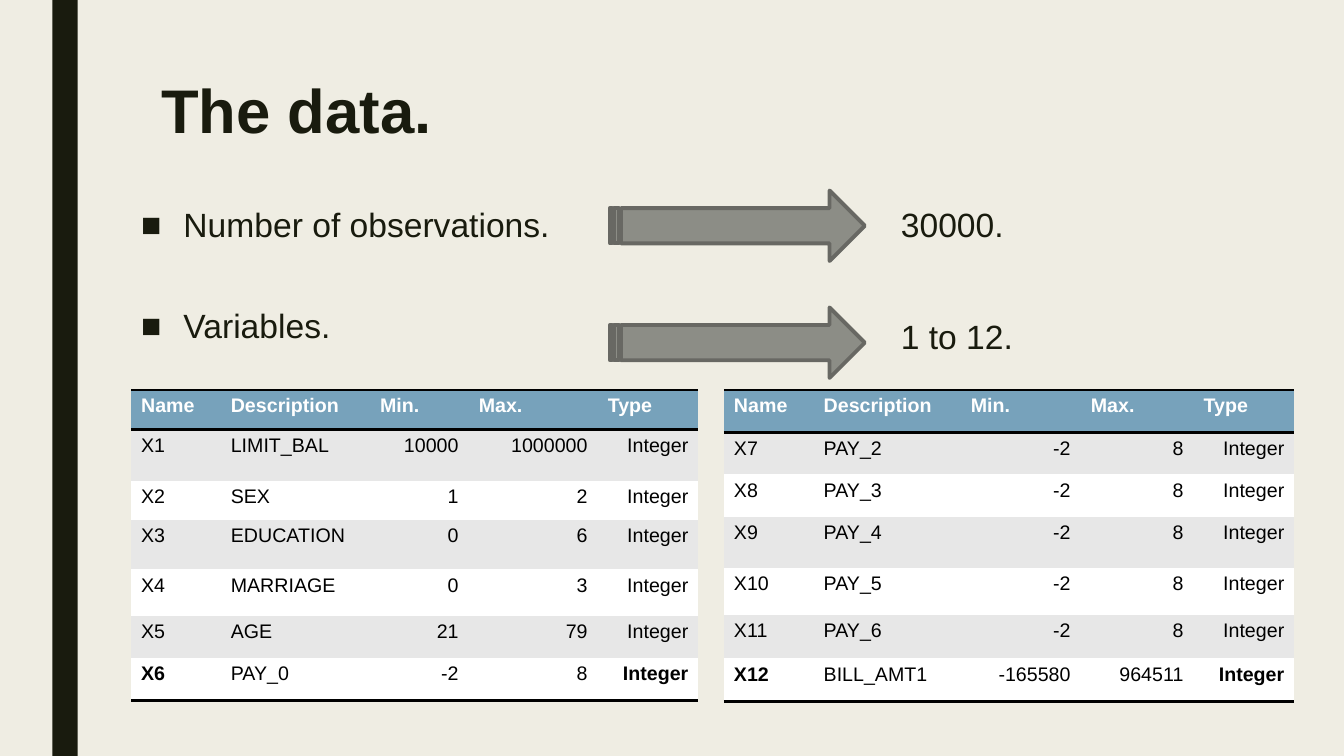
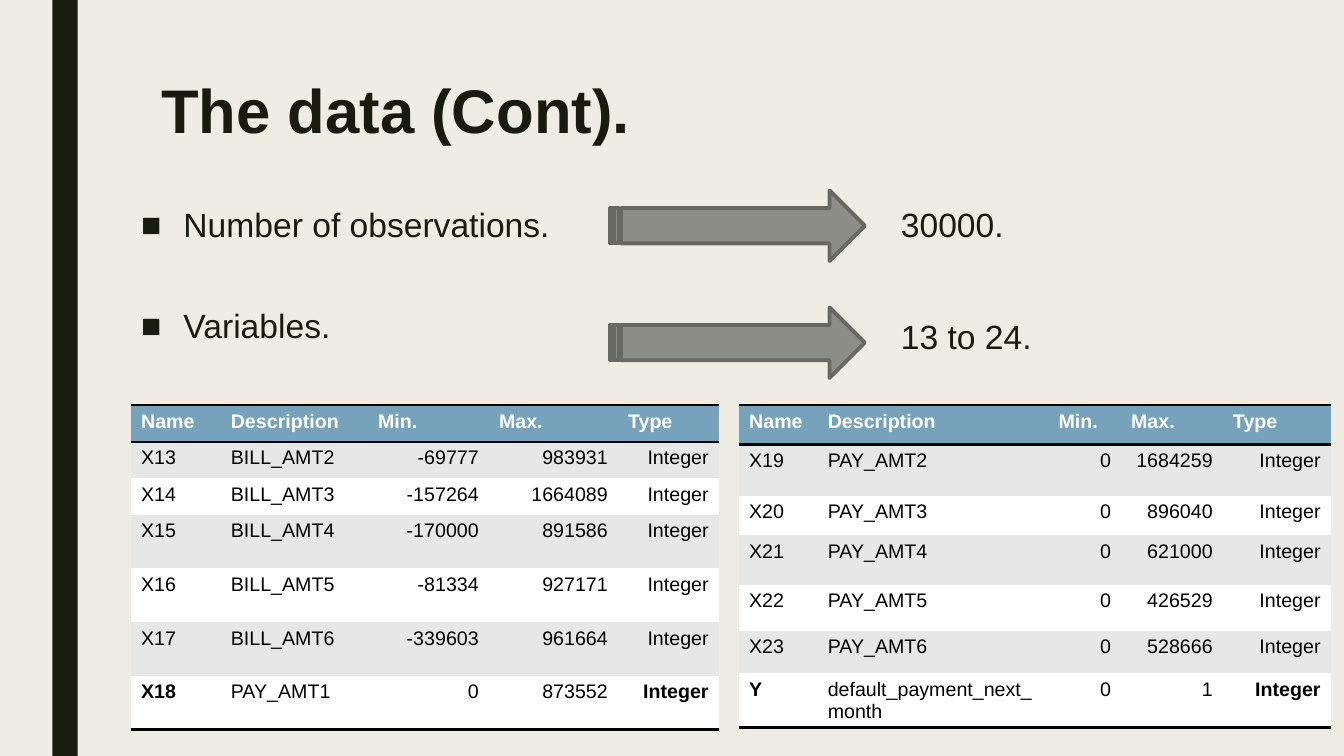
from dataclasses import dataclass

from lxml.etree import SubElement
from pptx import Presentation
from pptx.dml.color import RGBColor
from pptx.enum.shapes import MSO_SHAPE
from pptx.enum.text import MSO_ANCHOR, MSO_AUTO_SIZE, PP_ALIGN
from pptx.oxml.ns import qn
from pptx.util import Inches, Pt


@dataclass(frozen=True)
class Theme:
    font: str = "Arial"
    paper: str = "EFEDE3"
    ink: str = "191B0E"
    arrow: str = "8C8D86"
    arrow_edge: str = "686863"
    header: str = "77A2BB"
    odd_row: str = "E7E7E7"
    even_row: str = "FFFFFF"
    header_text: str = "FFFFFF"
    cell_text: str = "000000"
    title_size: int = 44
    body_size: int = 24
    cell_size: int = 14
    arrow_line: float = 2.75
    rule_line: float = 2


@dataclass(frozen=True)
class Box:
    left: float
    top: float
    width: float
    height: float

    def inner(self, left, top, width, height):
        """Return an inner box given in percent of this one."""
        return Box(self.left + self.width * left / 100,
                   self.top + self.height * top / 100,
                   self.width * width / 100, self.height * height / 100)

    def inches(self):
        return [Inches(length) for length in
                (self.left, self.top, self.width, self.height)]


THEME = Theme()
SLIDE = Box(0, 0, 13.33, 7.5)
BAND = SLIDE.inner(3.9, 0, 1.88, 100)
TITLE = SLIDE.inner(11.25, 10, 87.5, 15.2)
SUMMARY = SLIDE.inner(9.75, 25.2, 87.6, 24.8)
NO_GRID_STYLE = "{2D5ABB26-0587-4C30-8999-92F81FD0307C}"
HEADINGS = ["Name", "Description", "Min.", "Max.", "Type"]


def paint(fill, color):
    fill.solid()
    fill.fore_color.rgb = RGBColor.from_string(color)


def set_font(para, size, color, bold=False):
    font = para.font
    font.name, font.size, font.bold = THEME.font, Pt(size), bold
    font.color.rgb = RGBColor.from_string(color)


def place(shape, box):
    shape.left, shape.top, shape.width, shape.height = box.inches()


def open_frame(shape):
    frame = shape.text_frame
    frame.word_wrap = True
    frame.auto_size = MSO_AUTO_SIZE.NONE
    frame.vertical_anchor = MSO_ANCHOR.TOP
    return frame


def add_bullet(para):
    properties = para._p.get_or_add_pPr()
    properties.set("marL", str(Inches(0.42)))
    properties.set("indent", str(-Inches(0.42)))
    SubElement(properties, qn("a:buFont")).set("typeface", THEME.font)
    SubElement(properties, qn("a:buChar")).set("char", "■")


def write_lines(shape, lines, gap, bulleted=False):
    frame = open_frame(shape)
    frame.text = "\n".join(lines)
    for index, para in enumerate(frame.paragraphs):
        if bulleted:
            add_bullet(para)
        para.line_spacing = 0.94
        para.space_before = Pt(gap if index else 0)
        para.space_after = Pt(2)
        set_font(para, THEME.body_size, THEME.ink)


def style_master(deck, page):
    """Give the master the paper colour and the dark band."""
    master = deck.slide_master
    paint(master.background.fill, THEME.paper)
    band = page.shapes.add_shape(MSO_SHAPE.RECTANGLE, *BAND.inches())
    band.shadow.inherit = False
    paint(band.fill, THEME.ink)
    band.line.fill.background()
    master.element.cSld.spTree.insert(2, band.element)


def add_title(page, box, text):
    title = page.shapes.title
    place(title, box)
    frame = open_frame(title)
    frame.text = text
    para = frame.paragraphs[0]
    para.alignment = PP_ALIGN.LEFT
    para.line_spacing = 0.89
    set_font(para, THEME.title_size, THEME.ink, bold=True)


def add_arrow(page, box):
    arrow = page.shapes.add_shape(MSO_SHAPE.STRIPED_RIGHT_ARROW, *box.inches())
    arrow.shadow.inherit = False
    paint(arrow.fill, THEME.arrow)
    paint(arrow.line.fill, THEME.arrow_edge)
    arrow.line.width = Pt(THEME.arrow_line)


def add_summary(page, box, variables):
    # Facts on the left
    facts = page.placeholders[1]
    place(facts, box.inner(0, 6.45, 37.16, 93.55))
    write_lines(facts, ["Number of observations.", "Variables."], 43, bulleted=True)

    # Arrows at the top and bottom of the region
    arrow_height = 37.63
    for top in (0, 100 - arrow_height):
        add_arrow(page, box.inner(40.67, top, 21.66, arrow_height))

    # Values on the right
    values = page.shapes.add_textbox(*box.inner(64.55, 6.45, 35.45, 93.55).inches())
    write_lines(values, ["30000.", variables], 51)


def add_rule(cell, side):
    line = SubElement(cell._tc.get_or_add_tcPr(), qn(f"a:{side}"),
                      w=str(Pt(THEME.rule_line)))
    fill = SubElement(line, qn("a:solidFill"))
    SubElement(fill, qn("a:srgbClr")).set("val", THEME.cell_text)


def fill_cell(cell, text, row, column, last_row):
    is_header, is_last = row == 0, row == last_row
    if is_header:
        add_rule(cell, "lnT")
    if is_header or is_last:
        add_rule(cell, "lnB")
    band = THEME.odd_row if row % 2 else THEME.even_row
    paint(cell.fill, THEME.header if is_header else band)
    cell.text = text
    para = cell.text_frame.paragraphs[0]
    if column >= 2 and not is_header:
        para.alignment = PP_ALIGN.RIGHT
    at_edge = column in (0, len(HEADINGS) - 1)
    set_font(para, THEME.cell_size,
             THEME.header_text if is_header else THEME.cell_text,
             bold=is_header or (is_last and at_edge))


def add_variable_table(page, box, columns, rows, records):
    """Draw a table; columns and rows are shares of the box."""
    lines = [HEADINGS] + [record.split() + ["Integer"] for record in records]
    holder = page.shapes.add_table(len(lines), len(HEADINGS), *box.inches())
    for style in holder.element.iter(qn("a:tableStyleId")):
        style.text = NO_GRID_STYLE
    table = holder.table
    for column, share in zip(table.columns, columns):
        column.width = Inches(box.width * share / sum(columns))
    for row, share in zip(table.rows, rows):
        row.height = Inches(box.height * share / sum(rows))
    for row, line in enumerate(lines):
        for column, text in enumerate(line):
            fill_cell(table.cell(row, column), text, row, column, len(lines) - 1)


def add_data_page(deck, title, variables, tables):
    page = deck.slides.add_slide(deck.slide_layouts[1])
    add_title(page, TITLE, title)
    add_summary(page, SUMMARY, variables)
    for table in tables:
        add_variable_table(page, **table)
    return page


FIRST_TABLES = [
    dict(box=SLIDE.inner(9.75, 51.6, 42.23, 41.07),
         columns=[0.89, 1.48, 0.98, 1.28, 1],
         rows=[0.39, 0.51, 0.39, 0.49, 0.46, 0.42, 0.42],
         records=["X1 LIMIT_BAL 10000 1000000", "X2 SEX 1 2",
                  "X3 EDUCATION 0 6", "X4 MARRIAGE 0 3",
                  "X5 AGE 21 79", "X6 PAY_0 -2 8"]),
    dict(box=SLIDE.inner(53.86, 51.6, 42.46, 41.2),
         columns=[0.89, 1.46, 1.19, 1.12, 1],
         rows=[0.42, 0.42, 0.42, 0.51, 0.47, 0.43, 0.43],
         records=[f"X{number} PAY_{number - 5} -2 8" for number in range(7, 12)]
         + ["X12 BILL_AMT1 -165580 964511"]),
]
SECOND_TABLES = [
    dict(box=SLIDE.inner(9.75, 53.6, 43.74, 42.93),
         columns=[0.89, 1.46, 1.2, 1.28, 1],
         rows=[0.36, 0.36, 0.36, 0.53, 0.53, 0.53, 0.53],
         records=["X13 BILL_AMT2 -69777 983931", "X14 BILL_AMT3 -157264 1664089",
                  "X15 BILL_AMT4 -170000 891586", "X16 BILL_AMT5 -81334 927171",
                  "X17 BILL_AMT6 -339603 961664", "X18 PAY_AMT1 0 873552"]),
    dict(box=SLIDE.inner(54.99, 53.6, 44.03, 42.53),
         columns=[0.78, 2.29, 0.72, 1.01, 1.07],
         rows=[0.39, 0.51, 0.39, 0.49, 0.46, 0.42, 0.53],
         records=["X19 PAY_AMT2 0 1684259", "X20 PAY_AMT3 0 896040",
                  "X21 PAY_AMT4 0 621000", "X22 PAY_AMT5 0 426529",
                  "X23 PAY_AMT6 0 528666", "Y default_payment_next_month 0 1"]),
]

deck = Presentation()
deck.slide_width, deck.slide_height = SLIDE.inches()[2:]
first_page = add_data_page(deck, "The data.", "1 to 12.", FIRST_TABLES)
add_data_page(deck, "The data (Cont).", "13 to 24.", SECOND_TABLES)
style_master(deck, first_page)
deck.save("out.pptx")
